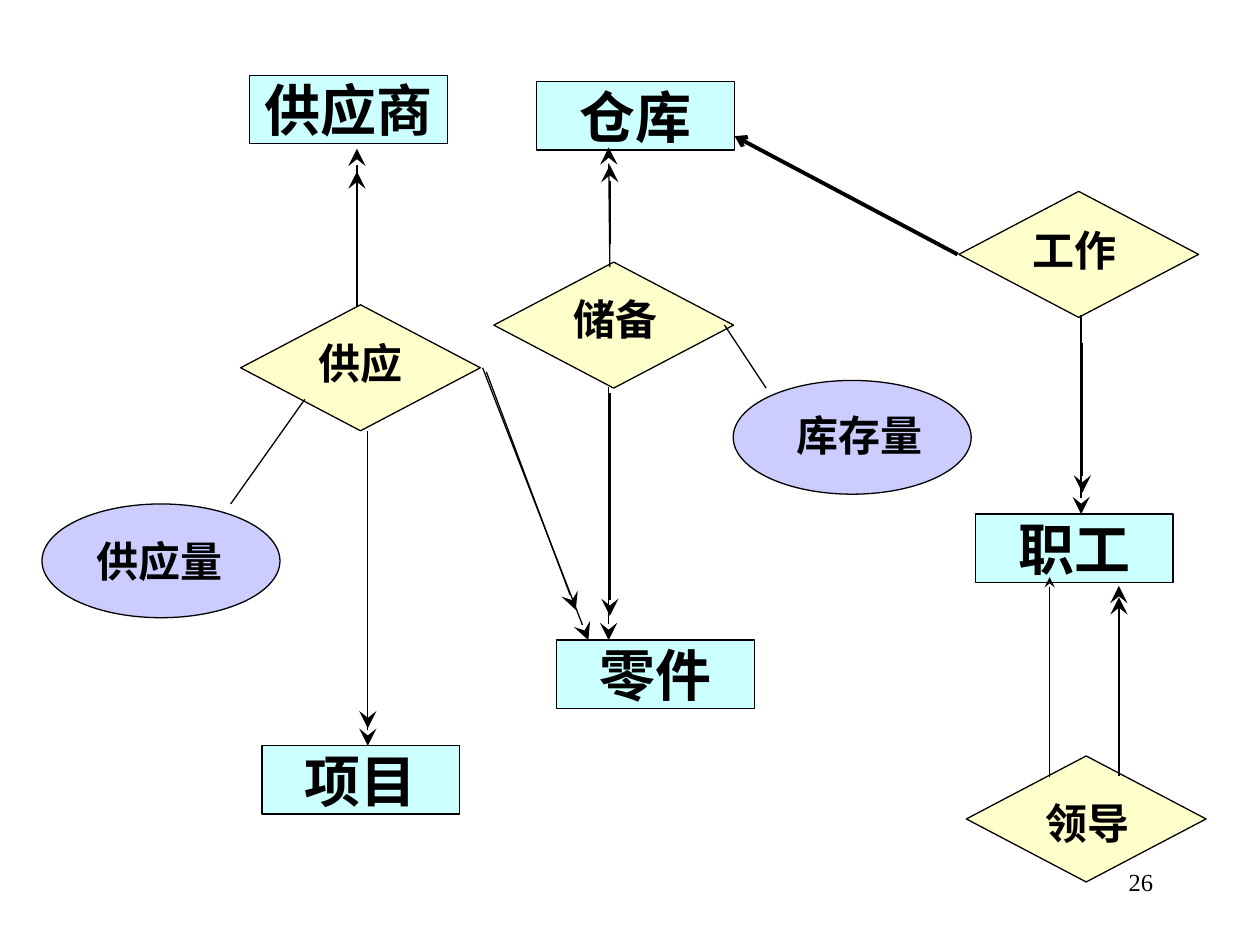
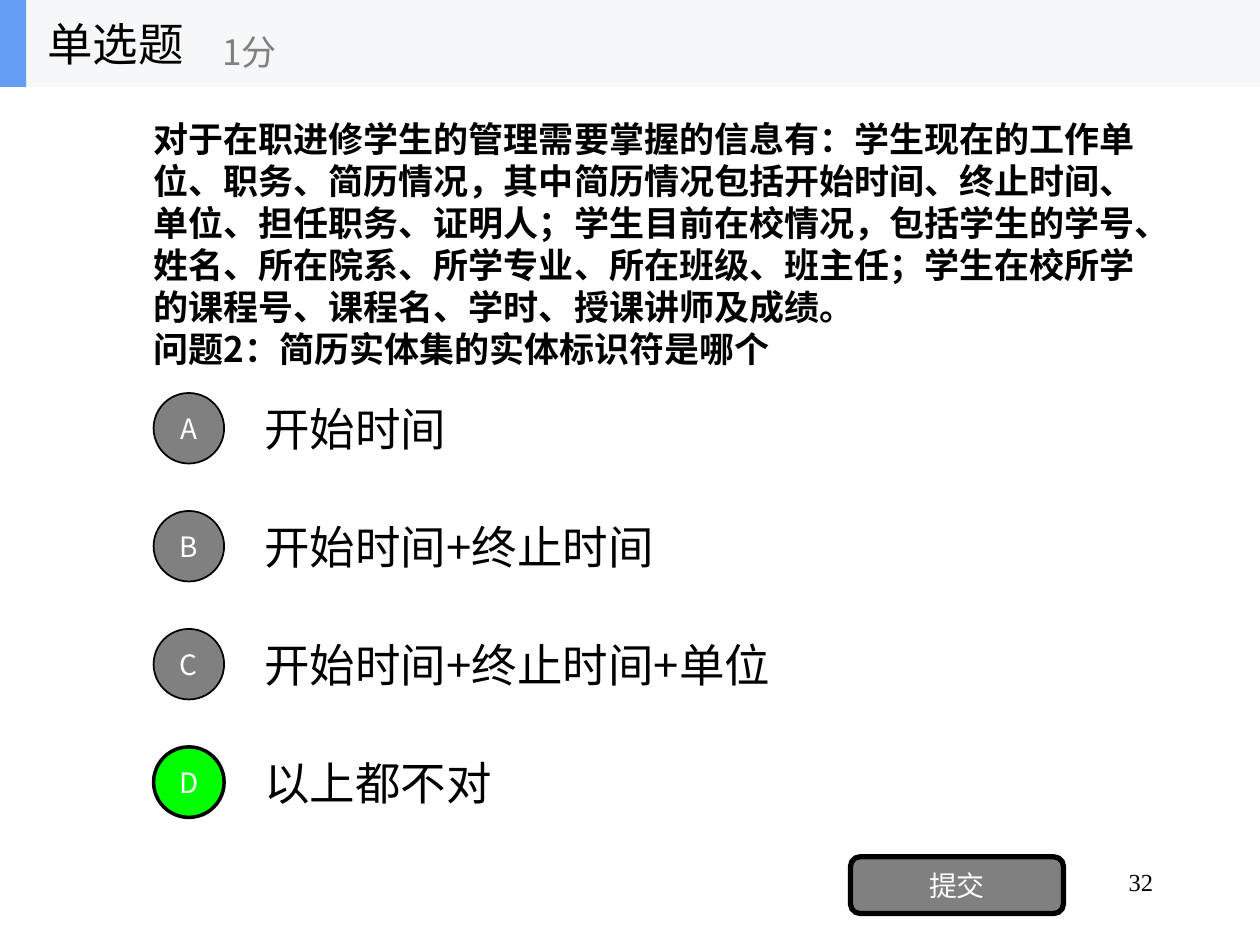
from lxml.etree import SubElement
from pptx import Presentation
from pptx.dml.color import RGBColor
from pptx.enum.shapes import MSO_CONNECTOR, MSO_SHAPE
from pptx.enum.text import MSO_ANCHOR, PP_ALIGN
from pptx.oxml.ns import qn
from pptx.util import Pt

SANS, SERIF = "Noto Sans CJK SC", "Times New Roman"
BLACK, WHITE, GRAY = "000000", "FFFFFF", "808080"
CYAN, YELLOW, LILAC = "CCFFFF", "FFFFCC", "CCCCFF"
BAND, BLUE, GREEN = "F6F7F8", "639EF4", "00FF00"

ENTITY_SIZE, RELATION_SIZE, ATTRIBUTE_SIZE = (113, 39), (137, 72), (136, 65)
LABEL_SIZE = (110, 29)

ENTITIES = [("供应商", 118.6, 0), ("零件", 294.2, 322.8), ("项目", 125.8, 383.2),
            ("职工", 533.3, 250.8), ("仓库", 282.7, 3.8)]

# text, left, top, then the shift of the label from the middle of its shape
RELATIONS = [("供应", 113.5, 131.2, 0, -3), ("储备", 258.2, 106.8, 1, -3.5),
             ("领导", 528.2, 389, 1, 2), ("工作", 523.9, 66.4, -2.5, -3)]
ATTRIBUTES = [("库存量", 395, 174.4, 4.3, -1.4), ("供应量", 0, 245, -0.7, 0)]

# start x, start y, end x, end y; "many" ends carry two arrows
MANY_ARROWS = [
    (180, 132, 180, 42), (180, 122, 180, 55),
    (323.8, 178, 323.8, 322.8), (324.5, 181.6, 324.5, 309),
    (324.5, 109.6, 323.8, 41.2), (324.5, 96.7, 324.5, 51.3),
    (615.4, 394, 615.4, 291.8), (615.4, 400.5, 615.4, 298.3),
    (593.8, 137, 593.8, 250.8), (594.5, 152.8, 594.5, 238.5),
    (186.2, 203.2, 186.2, 383.2), (186.2, 209.7, 186.2, 373.2),
    (251.8, 167.2, 312.2, 322.8), (253.9, 169.4, 305, 305.5),
]
LEADER_ARROW = (575.8, 401.2, 575.8, 286.8)
WORKPLACE_ARROW = (523.2, 102.4, 395.8, 34.8)
ATTRIBUTE_LINES = [(390, 142.8, 413.8, 178.8), (107.8, 245, 150.2, 185.2)]

QUESTION = [
    "对于在职进修学生的管理需要掌握的信息有：学生现在的工作单位、职务、简历情况，"
    "其中简历情况包括开始时间、终止时间、单位、担任职务、证明人；学生目前在校情况，"
    "包括学生的学号、姓名、所在院系、所学专业、所在班级、班主任；"
    "学生在校所学的课程号、课程名、学时、授课讲师及成绩。",
    "问题2：简历实体集的实体标识符是哪个",
]
OPTIONS = ["开始时间", "开始时间+终止时间", "开始时间+终止时间+单位", "以上都不对"]
ANSWER = "D"


def color(value):
    return RGBColor.from_string(value)


def write(shape, text, size, font=SANS, fill=BLACK, bold=False,
          align=PP_ALIGN.LEFT, anchor=MSO_ANCHOR.MIDDLE, inset=None, spacing=None):
    tf = shape.text_frame
    tf.word_wrap = True
    tf.vertical_anchor = anchor
    if inset is not None:
        tf.margin_left = tf.margin_right = tf.margin_top = tf.margin_bottom = Pt(inset)
    tf.text = text
    for p in tf.paragraphs:
        p.alignment = align
        if spacing:
            p.line_spacing = Pt(spacing)
        for r in p.runs:
            r.font.name = font
            r.font.size = Pt(size)
            r.font.bold = bold
            r.font.color.rgb = color(fill)
            SubElement(r.font._element, qn("a:ea"), typeface=SANS)


def add_text(s, x, y, w, h, text, size, **style):
    write(s.shapes.add_textbox(Pt(x), Pt(y), Pt(w), Pt(h)), text, size, **style)


def add_box(s, kind, x, y, w, h, fill, line=0.75):
    sp = s.shapes.add_shape(kind, Pt(x), Pt(y), Pt(w), Pt(h))
    sp.shadow.inherit = False
    sp.fill.solid()
    sp.fill.fore_color.rgb = color(fill)
    if line:
        sp.line.color.rgb = color(BLACK)
        sp.line.width = Pt(line)
    else:
        sp.line.fill.background()
    return sp


def add_line(s, x, y, ends, width=0.75, arrow=None, size="med"):
    x1, y1, x2, y2 = ends
    line = s.shapes.add_connector(MSO_CONNECTOR.STRAIGHT, Pt(x + x1), Pt(y + y1),
                                  Pt(x + x2), Pt(y + y2))
    line.line.color.rgb = color(BLACK)
    line.line.width = Pt(width)
    if arrow:
        SubElement(line.line._get_or_add_ln(), qn("a:tailEnd"),
                   type=arrow, w=size, len=size)
    SubElement(line._element.spPr, qn("a:effectLst"))


def page_number(s, number):
    add_text(s, 516, 492, 150, 36, str(number), 14, font=SERIF,
             align=PP_ALIGN.RIGHT, anchor=MSO_ANCHOR.TOP)


def labelled_shapes(s, x, y, items, kind, size, fill):
    """Draw shapes whose labels are separate text boxes."""
    w, h = size
    label_w, label_h = LABEL_SIZE
    for text, left, top, dx, dy in items:
        add_box(s, kind, x + left, y + top, w, h, fill)
        add_text(s, x + left + (w - label_w) / 2 + dx, y + top + (h - label_h) / 2 + dy,
                 label_w, label_h, text, 24, font=SERIF, bold=True,
                 align=PP_ALIGN.CENTER, inset=0)


def er_diagram(s, x, y):
    for text, left, top in ENTITIES:
        sp = add_box(s, MSO_SHAPE.RECTANGLE, x + left, y + top, *ENTITY_SIZE, CYAN)
        write(sp, text, 32, font=SERIF, bold=True, align=PP_ALIGN.CENTER, inset=0)
    labelled_shapes(s, x, y, RELATIONS, MSO_SHAPE.DIAMOND, RELATION_SIZE, YELLOW)
    labelled_shapes(s, x, y, ATTRIBUTES, MSO_SHAPE.OVAL, ATTRIBUTE_SIZE, LILAC)
    for ends in MANY_ARROWS:
        add_line(s, x, y, ends, arrow="stealth", size="lg")
    add_line(s, x, y, LEADER_ARROW, arrow="stealth")
    add_line(s, x, y, WORKPLACE_ARROW, width=2.25, arrow="arrow")
    for ends in ATTRIBUTE_LINES:
        add_line(s, x, y, ends)


def quiz_header(s, x, y, w, h):
    add_box(s, MSO_SHAPE.RECTANGLE, x, y, w, h, BAND, line=0)
    add_box(s, MSO_SHAPE.RECTANGLE, x, y, 15, h, BLUE, line=0)
    add_text(s, x + 20, y, 150, h, "单选题", 26)
    add_text(s, x + 120, y + 9, 180, h - 9, "1分", 20, fill=GRAY)


def quiz_options(s, x, y, w, pitch):
    for i, text in enumerate(OPTIONS):
        letter, top = "ABCD"[i], y + i * pitch
        fill, line = (GREEN, 2) if letter == ANSWER else (GRAY, 1)
        sp = add_box(s, MSO_SHAPE.OVAL, x, top + 5, 40.3, 40.3, fill, line)
        write(sp, letter, 16, fill=WHITE, align=PP_ALIGN.CENTER, inset=0)
        add_text(s, x + 56, top, w - 56, 50.4, text, 26)


def submit_button(s, x, y, w, h):
    sp = add_box(s, MSO_SHAPE.ROUNDED_RECTANGLE, x, y, w, h, GRAY, line=3)
    write(sp, "提交", 16, fill=WHITE, align=PP_ALIGN.CENTER, inset=0)


def main():
    prs = Presentation()
    prs.slide_width, prs.slide_height = Pt(720), Pt(540)
    blank = prs.slide_layouts[6]

    s = prs.slides.add_slide(blank)
    page_number(s, 26)
    er_diagram(s, 24, 43)

    s = prs.slides.add_slide(blank)
    page_number(s, 32)
    quiz_header(s, 0, 0, 720, 49.7)
    add_text(s, 80.6, 31.7, 576, 214.6, "\n".join(QUESTION), 20, bold=True, spacing=24)
    quiz_options(s, 87.8, 219.6, 560, 67.4)
    submit_button(s, 486, 489.6, 121.7, 32.4)

    prs.save("out.pptx")


if __name__ == "__main__":
    main()
